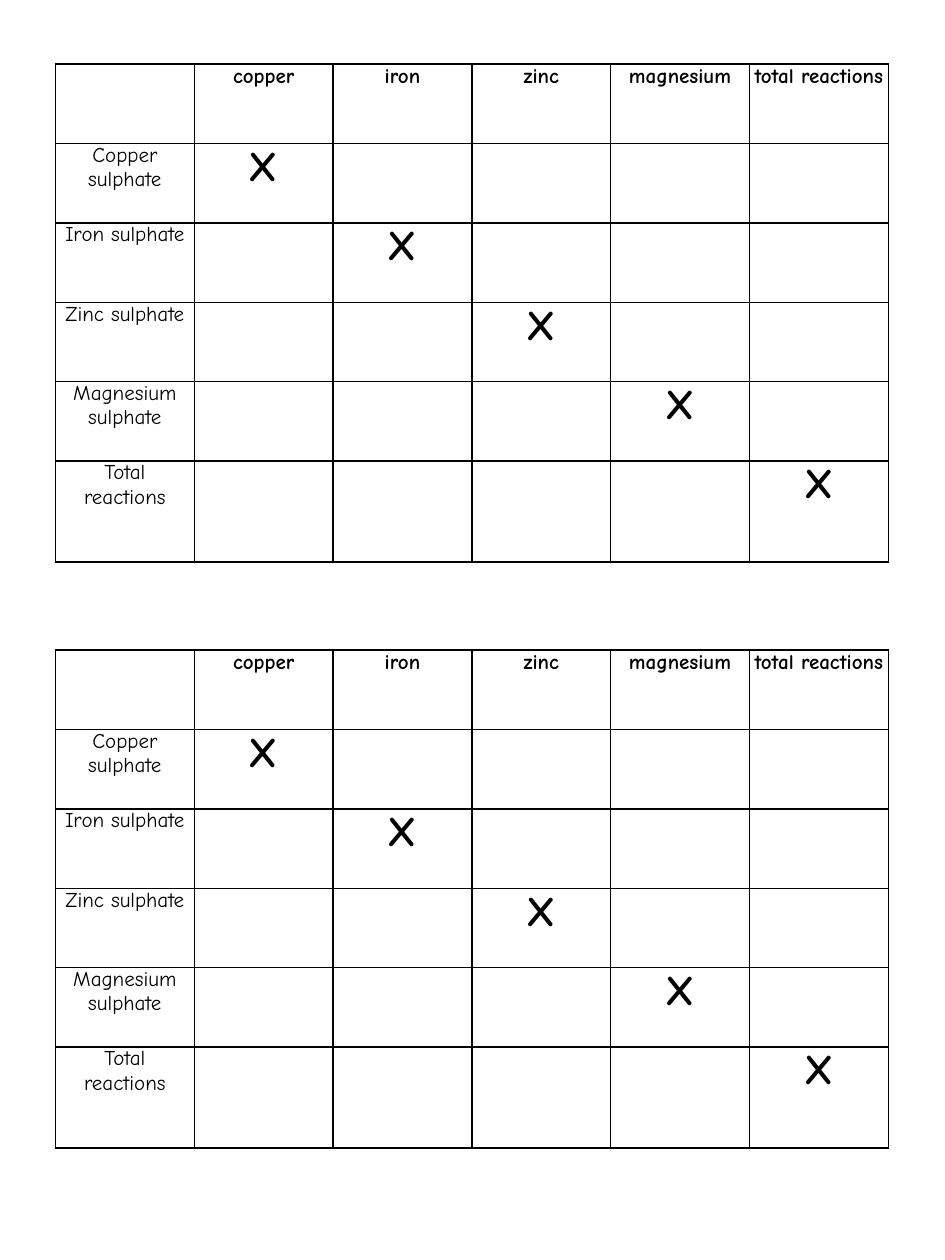
from lxml import etree
from pptx import Presentation
from pptx.dml.color import RGBColor
from pptx.enum.text import PP_ALIGN
from pptx.oxml.ns import qn
from pptx.util import Inches, Pt

CENTER = PP_ALIGN.CENTER
COLORS = {"paper": "FFFFFF", "ink": "000000"}
FONT = "Comic Neue"
BLANK_LAYOUT = 6

METALS = ["copper", "iron", "zinc", "magnesium", "total reactions"]
SOLUTIONS = ["Copper sulphate", "Iron sulphate", "Zinc sulphate",
             "Magnesium sulphate", "Total reactions"]
COUNT = len(METALS) + 1

TABLE_LEFT, TABLE_WIDTH = 0.44, 6.61
TABLE_TOPS = [0.51, 5.16]
ROW_HEIGHTS = [0.63] * (COUNT - 1) + [0.8]
THIN, THICK = 1, 1.5


def add_border(cell, side, points):
    """Draw one side (L, R, T or B); sides must come in that order, before the fill."""
    line = etree.SubElement(cell._tc.get_or_add_tcPr(), qn(f"a:ln{side}"), w=str(Pt(points)))
    fill = etree.SubElement(line, qn("a:solidFill"))
    etree.SubElement(fill, qn("a:srgbClr"), val=COLORS["ink"])


def add_text(cell, text, size, bold):
    para = cell.text_frame.paragraphs[0]
    para.alignment = CENTER
    span = para.add_run()
    span.text = text
    span.font.name = FONT
    span.font.size = Pt(size)
    span.font.bold = bold
    span.font.color.rgb = RGBColor.from_string(COLORS["ink"])


deck = Presentation()
deck.slide_width, deck.slide_height = Inches(7.5), Inches(10)
page = deck.slides.add_slide(deck.slide_layouts[BLANK_LAYOUT])

for top in TABLE_TOPS:
    table = page.shapes.add_table(
        COUNT, COUNT, Inches(TABLE_LEFT), Inches(top),
        Inches(TABLE_WIDTH), Inches(sum(ROW_HEIGHTS))).table
    table.first_row = table.horz_banding = False
    for column in table.columns:
        column.width = Inches(TABLE_WIDTH / COUNT)

    for r, height in enumerate(ROW_HEIGHTS):
        table.rows[r].height = Inches(height)
        for c in range(COUNT):
            cell = table.cell(r, c)
            cell.margin_left = cell.margin_right = Inches(0.04)
            cell.margin_top = cell.margin_bottom = 0

            # A heavier rule sets off the totals row.
            add_border(cell, "L", THIN)
            add_border(cell, "R", THIN)
            add_border(cell, "T", THICK if r == COUNT - 1 else THIN)
            add_border(cell, "B", THICK if r == COUNT - 2 else THIN)
            cell.fill.solid()
            cell.fill.fore_color.rgb = RGBColor.from_string(COLORS["paper"])

            if r == 0 and c > 0:
                add_text(cell, METALS[c - 1], 12, True)
            elif c == 0 and r > 0:
                add_text(cell, SOLUTIONS[r - 1], 12, False)
            elif r == c and r > 0:
                add_text(cell, "X", 24, True)

deck.save("out.pptx")
